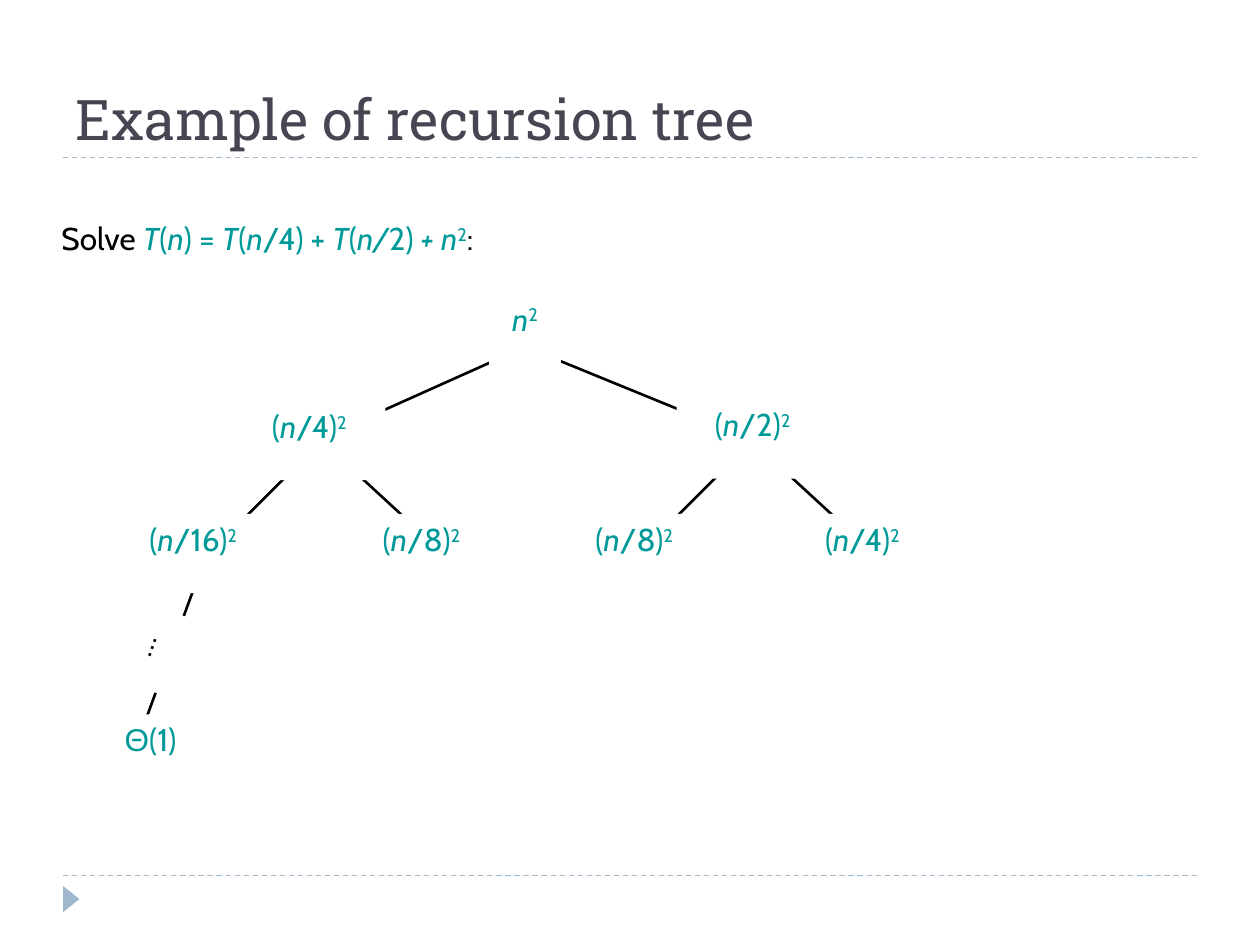
from dataclasses import dataclass

import pptx
import pptx.dml.color
import pptx.enum.dml
import pptx.enum.shapes
import pptx.enum.text
import pptx.oxml.ns
import pptx.shapes.autoshape
import pptx.slide
import pptx.util
from lxml import etree

Cm = pptx.util.Cm
Pt = pptx.util.Pt
RGBColor = pptx.dml.color.RGBColor
PP_ALIGN = pptx.enum.text.PP_ALIGN
MSO_SHAPE = pptx.enum.shapes.MSO_SHAPE

BLACK = RGBColor(0x00, 0x00, 0x00)
WHITE = RGBColor(0xFF, 0xFF, 0xFF)
TEAL = RGBColor(0x00, 0x99, 0x99)
SLATE = RGBColor(0x46, 0x46, 0x53)
PALE_BLUE = RGBColor(0x9F, 0xB8, 0xCD)

NODE_HEIGHT = 1.6


@dataclass(frozen=True)
class Run:
    text: str
    italic: bool = False
    raised: bool = False
    color: RGBColor = TEAL
    font: str = "Cabin"
    size: float = 18


@dataclass(frozen=True)
class Node:
    left: float
    top: float
    width: float
    runs: tuple[Run, ...]
    rotation: float = 0


@dataclass(frozen=True)
class Line:
    start: tuple[float, float]
    end: tuple[float, float]
    color: RGBColor = BLACK
    width: float = 1.5
    dashed: bool = False


def italic(text: str) -> Run:
    return Run(text, italic=True)


SQUARE = Run("2", raised=True)


def squared_fraction(divisor: int) -> tuple[Run, ...]:
    return Run("("), italic("n"), Run(f"/{divisor})"), SQUARE


ROOT = (10.59, 6.99)
QUARTER = (6.48, 8.89)
HALF = (15.16, 8.89)
CHILD_Y = 11.23
SIXTEENTH = (4.14, CHILD_Y)

BRANCHES = (
    Line(ROOT, (6.35, 8.89)),
    Line(ROOT, (15.24, 8.89)),
    Line(SIXTEENTH, (2.67, 15.24)),
    Line(QUARTER, SIXTEENTH),
    Line(QUARTER, (9.02, CHILD_Y)),
    Line(HALF, (12.83, CHILD_Y)),
    Line(HALF, (17.7, CHILD_Y)),
)

RULES = tuple(
    Line((1.27, y), (24.13, y), PALE_BLUE, 0.75, True) for y in (17.65, 3.18)
)

NODES = (
    Node(2.08, 10.36, 3.63, squared_fraction(16)),
    Node(6.96, 10.36, 3.07, squared_fraction(8)),
    Node(11.25, 10.36, 3.07, squared_fraction(8)),
    Node(15.85, 10.36, 3.07, squared_fraction(4)),
    Node(4.7, 8.08, 3.07, squared_fraction(4)),
    Node(13.64, 8.05, 3.07, squared_fraction(2)),
    Node(1.7, 14.4, 2.67, (Run("Θ", font="Arial"), Run("(1)"))),
    Node(2.31, 12.29, 1.65, (Run("…", color=BLACK),), 289.4),
    Node(9.86, 5.92, 1.45, (italic("n"), SQUARE)),
)

RECURRENCE = (
    Run("Solve ", color=BLACK),
    italic("T"), Run("("), italic("n"), Run(") = "),
    italic("T"), Run("("), italic("n"), Run("/4) + "),
    italic("T"), Run("("), italic("n/"), Run("2)"),
    italic(" + n"), SQUARE, Run(":", color=BLACK),
)


def write_runs(
    frame: pptx.text.text.TextFrame,
    runs: tuple[Run, ...],
    alignment: PP_ALIGN,
    anchor: pptx.enum.text.MSO_ANCHOR = pptx.enum.text.MSO_ANCHOR.TOP,
    wrap: bool = False,
) -> None:
    frame.auto_size = pptx.enum.text.MSO_AUTO_SIZE.NONE
    frame.word_wrap = wrap
    frame.vertical_anchor = anchor
    paragraph = frame.paragraphs[0]
    paragraph.alignment = alignment
    for part in runs:
        run = paragraph.add_run()
        run.text = part.text
        run.font.name = part.font
        run.font.size = Pt(part.size)
        run.font.italic = part.italic
        run.font.color.rgb = part.color
        if part.raised:
            run._r.get_or_add_rPr().set("baseline", "30000")


def draw_line(slide: pptx.slide.Slide, line: Line) -> None:
    connector = slide.shapes.add_connector(
        pptx.enum.shapes.MSO_CONNECTOR.STRAIGHT,
        *(Cm(value) for value in line.start + line.end),
    )
    connector.line.color.rgb = line.color
    connector.line.width = Pt(line.width)
    if line.dashed:
        connector.line.dash_style = pptx.enum.dml.MSO_LINE.DASH
    etree.SubElement(connector._element.spPr, pptx.oxml.ns.qn("a:effectLst"))


def draw_shape(
    slide: pptx.slide.Slide,
    preset: MSO_SHAPE,
    box: tuple[float, float, float, float],
    fill: RGBColor,
    rotation: float,
) -> pptx.shapes.autoshape.Shape:
    shape = slide.shapes.add_shape(preset, *(Cm(value) for value in box))
    shape.rotation = rotation
    shape.shadow.inherit = False
    shape.fill.solid()
    shape.fill.fore_color.rgb = fill
    shape.line.fill.background()
    return shape


def draw_node(slide: pptx.slide.Slide, node: Node) -> None:
    box = (node.left, node.top, node.width, NODE_HEIGHT)
    shape = draw_shape(slide, MSO_SHAPE.RECTANGLE, box, WHITE, node.rotation)
    write_runs(shape.text_frame, node.runs, PP_ALIGN.CENTER)


def main() -> None:
    presentation = pptx.Presentation()
    presentation.slide_width = Cm(25.4)
    presentation.slide_height = Cm(19.05)
    slide = presentation.slides.add_slide(presentation.slide_layouts[5])

    for rule in RULES:
        draw_line(slide, rule)
    draw_shape(
        slide, MSO_SHAPE.ISOSCELES_TRIANGLE, (1.17, 17.96, 0.53, 0.33), PALE_BLUE, 90
    )

    title = slide.shapes.title
    title.left, title.top = Cm(1.27), Cm(0.64)
    title.width, title.height = Cm(22.86), Cm(2.54)
    heading = Run("Example of recursion tree", color=SLATE, font="Roboto Slab", size=32)
    write_runs(
        title.text_frame,
        (heading,),
        PP_ALIGN.LEFT,
        pptx.enum.text.MSO_ANCHOR.BOTTOM,
        True,
    )

    for branch in BRANCHES:
        draw_line(slide, branch)
    for node in NODES:
        draw_node(slide, node)

    recurrence = slide.shapes.add_textbox(Cm(0.99), Cm(4.29), Cm(15.93), Cm(NODE_HEIGHT))
    write_runs(recurrence.text_frame, RECURRENCE, PP_ALIGN.LEFT)

    presentation.save("out.pptx")


if __name__ == "__main__":
    main()
